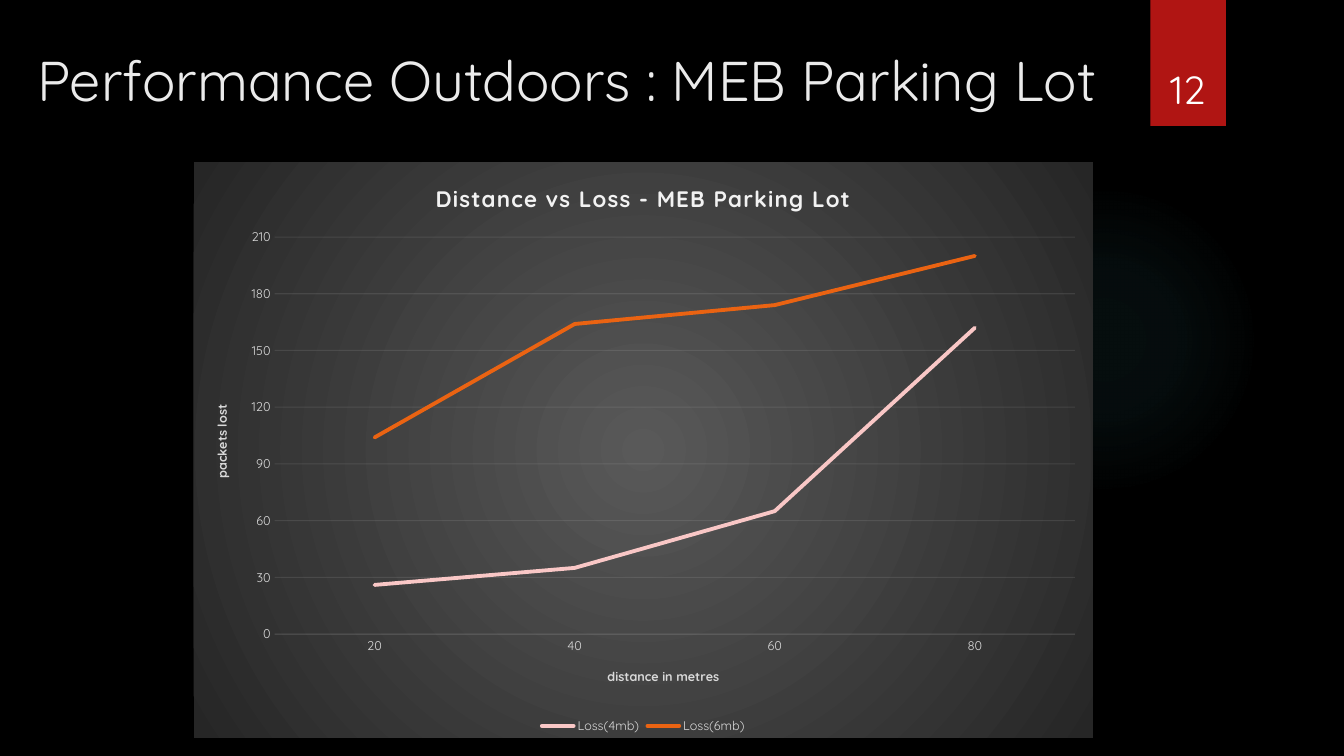
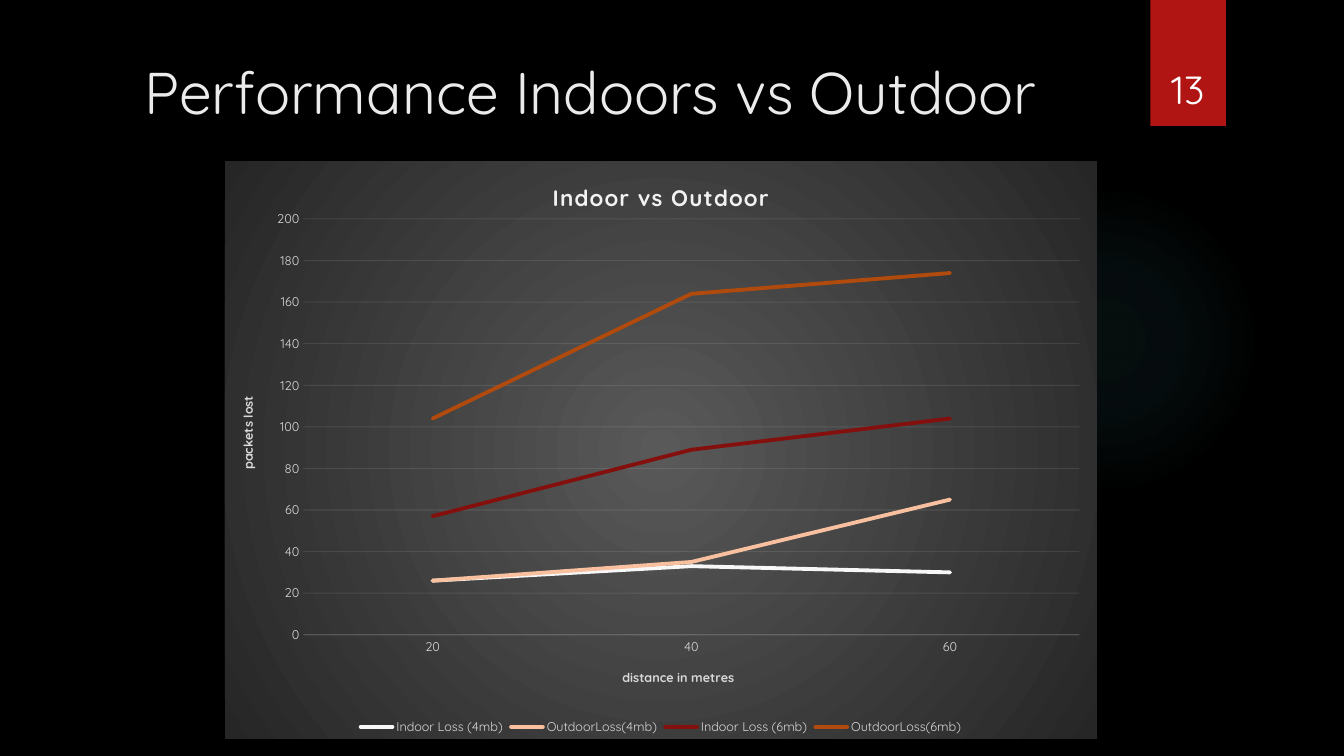
"""Builds two slides that plot packet loss against distance."""
from lxml import etree
from pptx import Presentation
from pptx.chart.data import CategoryChartData
from pptx.dml.color import RGBColor
from pptx.enum.chart import XL_CHART_TYPE, XL_LEGEND_POSITION, XL_TICK_MARK
from pptx.enum.shapes import MSO_SHAPE
from pptx.enum.text import MSO_ANCHOR, PP_ALIGN
from pptx.oxml import parse_xml
from pptx.oxml.ns import nsdecls, qn
from pptx.util import Inches, Pt

LINE = XL_CHART_TYPE.LINE
BOTTOM = XL_LEGEND_POSITION.BOTTOM
NO_TICK = XL_TICK_MARK.NONE
OVAL, RECT = MSO_SHAPE.OVAL, MSO_SHAPE.RECTANGLE
TOP, LOW = MSO_ANCHOR.TOP, MSO_ANCHOR.BOTTOM
LEFT, MID = PP_ALIGN.LEFT, PP_ALIGN.CENTER

FONT = "Quicksand"
BLACK = RGBColor(0x00, 0x00, 0x00)
WHITE = RGBColor(0xFF, 0xFF, 0xFF)
RED = RGBColor(0xB0, 0x15, 0x13)
TEAL = RGBColor(0x50, 0xB9, 0xC1)
PALE = RGBColor(0xEB, 0xEB, 0xEB)
MIST = RGBColor(0xF2, 0xF2, 0xF2)
SILVER = RGBColor(0xD9, 0xD9, 0xD9)
STEEL = RGBColor(0x59, 0x59, 0x59)
COAL = RGBColor(0x26, 0x26, 0x26)
PINK = RGBColor(0xF9, 0xC7, 0xC6)
ORANGE = RGBColor(0xEA, 0x63, 0x12)
SNOW = RGBColor(0xF7, 0xF7, 0xF7)
PEACH = RGBColor(0xF8, 0xC0, 0x9F)
WINE = RGBColor(0x84, 0x10, 0x0E)
RUST = RGBColor(0xB0, 0x4A, 0x0D)

SLIDES = [
    {
        "title": "Performance Outdoors : MEB Parking Lot",
        "place": (0.27, 0.4, 11.32, 1.53), "size": 40, "align": LEFT, "page": 12,
        "chart": {
            "box": (1.92, 1.61, 8.92, 5.71), "title": "Distance vs Loss - MEB Parking Lot",
            "plot": (0.09, 0.13, 0.89, 0.69), "top": 210, "step": 30,
            "cats": ["20", "40", "60", "80"],
            "rows": [("Loss(4mb)", (26, 35, 65, 162), PINK),
                     ("Loss(6mb)", (104, 164, 174, 200), ORANGE)],
        },
    },
    {
        "title": "Performance Indoors vs Outdoor",
        "place": (0.71, 0.5, 10.29, 1.53), "size": 42, "align": MID, "page": 13,
        "chart": {
            "box": (2.23, 1.6, 8.65, 5.73), "title": "Indoor vs Outdoor",
            "plot": (0.09, 0.1, 0.89, 0.72), "top": 200, "step": 20,
            "cats": ["20", "40", "60"],
            "rows": [("Indoor Loss (4mb)", (26, 33, 30), SNOW),
                     ("OutdoorLoss(4mb)", (26, 35, 65), PEACH),
                     ("Indoor Loss (6mb)", (57, 89, 104), WINE),
                     ("OutdoorLoss(6mb)", (104, 164, 174), RUST)],
        },
    },
]


def put(item, **vals):
    """Set each named attribute of an item."""
    for name, val in vals.items():
        setattr(item, name, val)


def style(font, size, color, bold=False):
    """Give a font its face, size and colour."""
    put(font, name=FONT, size=Pt(size), bold=bold)
    font.color.rgb = color


def radial(stops):
    """Return a round gradient from (percent, colour, opacity) stops."""
    marks = "".join(
        f'<a:gs pos="{pos * 1000}"><a:srgbClr val="{color}">'
        f'<a:alpha val="{alpha * 1000}"/></a:srgbClr></a:gs>'
        for pos, color, alpha in stops)
    return parse_xml(
        f'<a:gradFill {nsdecls("a")} rotWithShape="1"><a:gsLst>{marks}</a:gsLst>'
        '<a:path path="circle"><a:fillToRect l="50000" t="50000" r="50000" b="50000"/>'
        '</a:path></a:gradFill>')


def solid(slide, kind, box, color):
    """Add a flat shape without outline or shadow."""
    shape = slide.shapes.add_shape(kind, *map(Inches, box))
    shape.shadow.inherit = False
    shape.fill.solid()
    shape.fill.fore_color.rgb = color
    shape.line.fill.background()
    return shape


def label(slide, box, text, size, color, align, anchor):
    """Add a line of text in a box."""
    body = slide.shapes.add_textbox(*map(Inches, box)).text_frame
    put(body, word_wrap=True, vertical_anchor=anchor)
    para = body.paragraphs[0]
    para.alignment = align
    run = para.add_run()
    run.text = text
    style(run.font, size, color)


def frame(slide, page):
    """Draw the backdrop, glow and numbered band."""
    fill = slide.background.fill
    fill.solid()
    fill.fore_color.rgb = BLACK
    glow = solid(slide, OVAL, (9.41, 1.83, 3.08, 3.08), TEAL)
    flat = glow._element.spPr.find(qn("a:solidFill"))
    flat.getparent().replace(flat, radial([(0, TEAL, 7), (36, TEAL, 6), (69, TEAL, 0)]))
    solid(slide, RECT, (11.41, 0, 0.75, 1.25), RED)
    label(slide, (11.32, 0.32, 0.92, 0.84), str(page), 28, WHITE, MID, LOW)


def head(title, text, size, color, space=0):
    """Fill a chart or axis title in bold."""
    run = title.text_frame.paragraphs[0].add_run()
    run.text = text
    style(run.font, size, color, True)
    run._r.get_or_add_rPr().set("spc", str(space))


def faint(form, host):
    """Make the line of a chart part thin and almost clear."""
    form.line.width = Pt(0.75)
    form.line.color.rgb = MIST
    for color in host.find(qn("c:spPr")).iter(qn("a:srgbClr")):
        etree.SubElement(color, qn("a:alpha")).set("val", "10000")


def axes(chart, top, step):
    """Format both axes and the grid."""
    cat, val = chart.category_axis, chart.value_axis
    put(val, minimum_scale=0, maximum_scale=top, major_unit=step, has_major_gridlines=True)
    for axis, text in ((cat, "distance in metres"), (val, "packets lost")):
        put(axis, major_tick_mark=NO_TICK, minor_tick_mark=NO_TICK)
        head(axis.axis_title, text, 9, SILVER)
        style(axis.tick_labels.font, 9, SILVER)
    turn = val.axis_title.text_frame._txBody.bodyPr
    turn.set("rot", "-5400000")
    turn.set("vert", "horz")
    val.format.line.fill.background()
    faint(cat.format, cat._element)
    faint(val.major_gridlines.format, val._element.find(qn("c:majorGridlines")))


def lay(chart, plot):
    """Fix the inner plot area as shares of the chart."""
    area = chart._chartSpace.chart.plotArea
    for old in area.findall(qn("c:layout")):
        area.remove(old)
    sides = "".join(f'<c:{key} val="{val}"/>' for key, val in zip("xywh", plot))
    area.insert(0, parse_xml(
        f'<c:layout {nsdecls("c")}><c:manualLayout><c:layoutTarget val="inner"/>'
        f'<c:xMode val="edge"/><c:yMode val="edge"/>{sides}</c:manualLayout></c:layout>'))


def graph(slide, box, title, plot, top, step, cats, rows):
    """Add a line chart on a round gradient."""
    data = CategoryChartData()
    data.categories = cats
    for name, vals, _ in rows:
        data.add_series(name, vals)
    chart = slide.shapes.add_chart(LINE, *map(Inches, box), data).chart
    style(chart.font, 10, WHITE)
    back = parse_xml(f'<c:spPr {nsdecls("c", "a")}><a:ln><a:noFill/></a:ln></c:spPr>')
    back.insert(0, radial([(0, STEEL, 100), (100, COAL, 100)]))
    chart._chartSpace.find(qn("c:txPr")).addprevious(back)
    put(chart, has_title=True, has_legend=True)
    head(chart.chart_title, title, 16, MIST, 100)
    put(chart.legend, position=BOTTOM, include_in_layout=False)
    style(chart.legend.font, 9, SILVER)
    chart.plots[0].vary_by_categories = False
    for series, (_, _, color) in zip(chart.plots[0].series, rows):
        series.smooth = False
        line = series.format.line
        line.width = Pt(2.75)
        line.color.rgb = color
        series._element.find(qn("c:spPr")).find(qn("a:ln")).set("cap", "rnd")
    axes(chart, top, step)
    lay(chart, plot)


def main():
    """Build and save the deck."""
    deck = Presentation()
    put(deck, slide_width=Inches(13.33), slide_height=Inches(7.5))
    for item in SLIDES:
        slide = deck.slides.add_slide(deck.slide_layouts[6])
        frame(slide, item["page"])
        label(slide, item["place"], item["title"], item["size"], PALE, item["align"], TOP)
        graph(slide, **item["chart"])
    deck.save("out.pptx")


if __name__ == "__main__":
    main()
